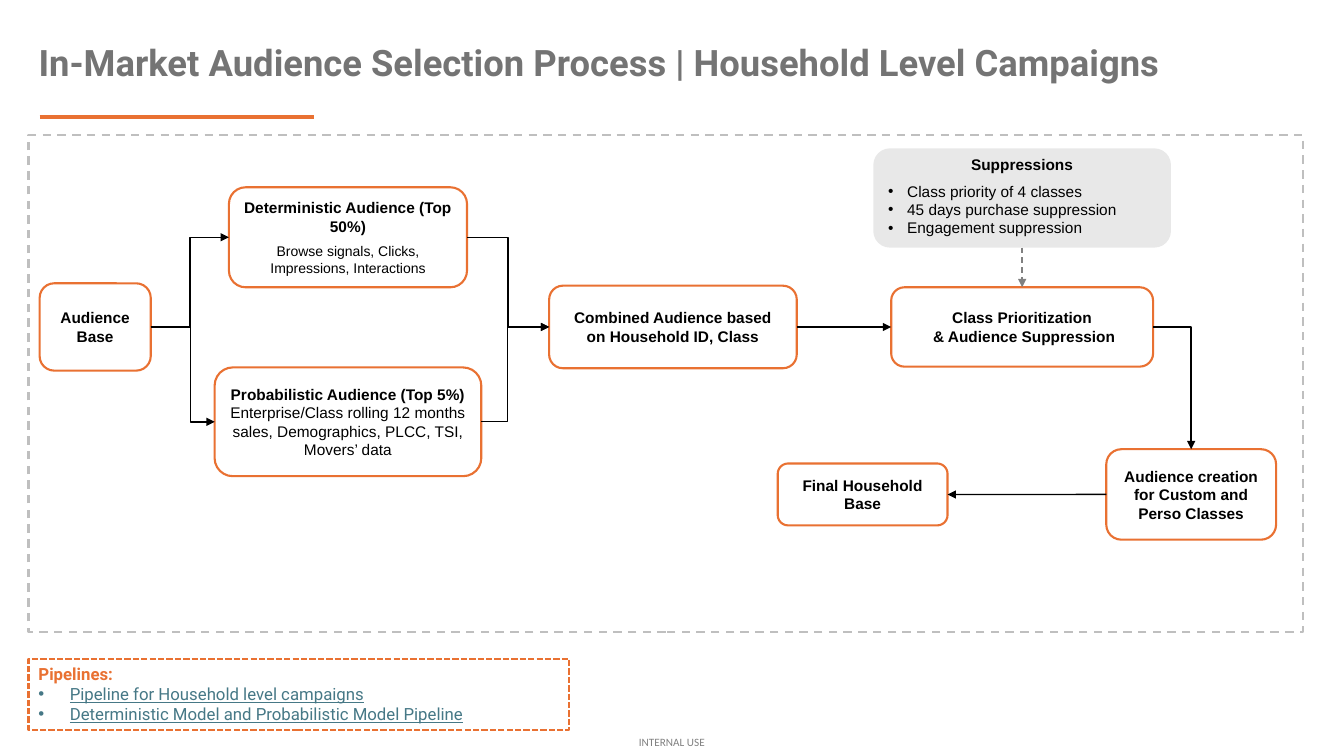
from dataclasses import dataclass

from pptx import Presentation
from pptx.dml.color import RGBColor
from pptx.enum.dml import MSO_LINE
from pptx.enum.shapes import MSO_CONNECTOR, MSO_SHAPE
from pptx.enum.text import MSO_ANCHOR as Anchor, MSO_AUTO_SIZE, PP_ALIGN as Align
from pptx.oxml.ns import qn
from pptx.oxml.xmlchemy import OxmlElement
from pptx.util import Cm, Pt

ORANGE = RGBColor(0xE9, 0x71, 0x32)
TITLE_GRAY = RGBColor(0x74, 0x74, 0x74)
FRAME_GRAY = RGBColor(0xBF, 0xBF, 0xBF)
MID_GRAY = RGBColor(0x80, 0x80, 0x80)
PALE_GRAY = RGBColor(0xE8, 0xE8, 0xE8)
LINK_BLUE = RGBColor(0x46, 0x78, 0x86)
BLACK = RGBColor(0, 0, 0)
WHITE = RGBColor(0xFF, 0xFF, 0xFF)

TOP, LEFT, BOTTOM, RIGHT = range(4)


@dataclass
class Line:
    """One paragraph of text; indent in cm adds a bullet, before is in points."""
    text: str
    size: float = 11
    bold: bool = False
    color: RGBColor = BLACK
    font: str = "Arial"
    underline: bool = False
    indent: float = 0
    before: float = 0
    spacing: float = 1.0


class FlowSlide:
    def __init__(self, presentation):
        self.slide = presentation.slides.add_slide(presentation.slide_layouts[5])
        self.shapes = self.slide.shapes

    def add_lines(self, text_frame, lines, align):
        for index, line in enumerate(lines):
            paragraph = text_frame.paragraphs[0] if index == 0 else text_frame.add_paragraph()
            paragraph.alignment = align if not line.indent else Align.LEFT
            paragraph.line_spacing = line.spacing
            paragraph.space_before = Pt(line.before)
            if line.indent:
                self.add_bullet(paragraph, line.indent)
            run = paragraph.add_run()
            run.text = line.text
            font = run.font
            font.name, font.size = line.font, Pt(line.size)
            font.bold, font.underline = line.bold, line.underline
            font.color.rgb = line.color

    def add_bullet(self, paragraph, indent):
        properties = paragraph._p.get_or_add_pPr()
        properties.set("marL", str(Cm(indent)))
        properties.set("indent", str(-Cm(indent)))
        for tag, name, value in (("a:buFont", "typeface", "Arial"), ("a:buChar", "char", "•")):
            bullet = OxmlElement(tag)
            bullet.set(name, value)
            properties.append(bullet)

    def title(self, line, left, top, width, height):
        shape = self.shapes.title
        shape.left, shape.top, shape.width, shape.height = map(Cm, (left, top, width, height))
        shape.text_frame.auto_size = MSO_AUTO_SIZE.NONE
        shape.text_frame.vertical_anchor = Anchor.MIDDLE
        self.add_lines(shape.text_frame, [line], Align.LEFT)

    def label(self, line, left, top, width, height):
        frame = self.shapes.add_textbox(Cm(left), Cm(top), Cm(width), Cm(height)).text_frame
        frame.margin_left = frame.margin_top = frame.margin_right = frame.margin_bottom = 0
        frame.word_wrap = False
        self.add_lines(frame, [line], Align.LEFT)

    def box(self, place, lines=(), kind=MSO_SHAPE.FLOWCHART_ALTERNATE_PROCESS, fill=WHITE,
            outline=ORANGE, dash=None, anchor=Anchor.MIDDLE, align=Align.CENTER):
        shape = self.shapes.add_shape(kind, *map(Cm, place))
        shape.shadow.inherit = False
        if fill is None:
            shape.fill.background()
        else:
            shape.fill.solid()
            shape.fill.fore_color.rgb = fill
        if outline is None:
            shape.line.fill.background()
        else:
            shape.line.color.rgb = outline
            shape.line.width = Pt(1.5)
            shape.line.dash_style = dash
        shape.text_frame.word_wrap = True
        shape.text_frame.vertical_anchor = anchor
        self.add_lines(shape.text_frame, lines, align)
        return shape

    def rule(self, start, end, color=BLACK, width=1, dash=None, kind=MSO_CONNECTOR.STRAIGHT):
        connector = self.shapes.add_connector(kind, *map(Cm, start + end))
        connector.line.color.rgb = color
        connector.line.width = Pt(width)
        connector.line.dash_style = dash
        connector._element.spPr.append(OxmlElement("a:effectLst"))
        return connector

    def arrow(self, source, source_side, target, target_side, bend=None, corner=False, **style):
        """Join two boxes; bend is the elbow's share of the width, corner makes one turn."""
        elbow = corner or bend is not None
        kind = MSO_CONNECTOR.ELBOW if elbow else MSO_CONNECTOR.STRAIGHT
        connector = self.rule((0, 0), (0, 0), kind=kind, **style)
        connector.begin_connect(source, source_side)
        connector.end_connect(target, target_side)
        geometry = connector._element.spPr.find(qn("a:prstGeom"))
        if corner:
            geometry.set("prst", "bentConnector2")
        elif elbow:
            guide = OxmlElement("a:gd")
            guide.set("name", "adj1")
            guide.set("fmla", f"val {round(bend * 100000)}")
            geometry.find(qn("a:avLst")).append(guide)
        head = OxmlElement("a:tailEnd")
        head.set("type", "triangle")
        connector.line._get_or_add_ln().append(head)


def heading(text, **style):
    return Line(text, bold=True, **style)


def main():
    presentation = Presentation()
    presentation.slide_width, presentation.slide_height = Cm(33.87), Cm(19.05)
    flow = FlowSlide(presentation)

    flow.rule((1, 2.95), (7.92, 2.95), ORANGE, 3)
    flow.label(Line("INTERNAL USE", 8, color=MID_GRAY, font="Calibri"), 16.1, 18.54, 1.7, 0.34)
    flow.title(heading("In-Market Audience Selection Process | Household Level Campaigns", size=26,
                       color=TITLE_GRAY, font="Roboto", spacing=0.9), 0.72, 0.79, 29.2, 1.68)

    link = dict(size=12, color=LINK_BLUE, font="Roboto", underline=True, indent=0.79)
    flow.box((0.72, 16.6, 13.62, 1.8), [
        heading("Pipelines:", size=12, color=ORANGE, font="Roboto"),
        Line("Pipeline for Household level campaigns", **link),
        Line("Deterministic Model and Probabilistic Model Pipeline", **link),
    ], MSO_SHAPE.RECTANGLE, None, dash=MSO_LINE.SQUARE_DOT, anchor=Anchor.TOP, align=Align.LEFT)

    deterministic = flow.box((5.77, 4.72, 6, 2.52), [
        heading("Deterministic Audience (Top 50%)"),
        Line("Browse signals, Clicks, Impressions, Interactions", 10, before=5)])
    base = flow.box((1, 7.14, 2.8, 2.2), [heading("Audience Base")])
    probabilistic = flow.box((5.41, 9.26, 6.72, 2.74), [
        heading("Probabilistic Audience (Top 5%)"),
        Line("Enterprise/Class rolling 12 months sales, Demographics, PLCC, TSI, Movers’ data")])
    combined = flow.box((13.84, 7.2, 6.24, 2.08),
                        [heading("Combined Audience based on Household ID, Class")])
    prioritization = flow.box((22.46, 7.24, 6.6, 2), [
        heading("Class Prioritization"), heading(" & Audience Suppression")])
    creation = flow.box((27.88, 11.32, 4.28, 2.28),
                        [heading("Audience creation for Custom and Perso Classes")])
    suppressions = flow.box((22.01, 3.74, 7.5, 2.5), [
        heading("Suppressions", spacing=0.75),
        Line("Class priority of 4 classes", indent=0.48, before=9.5, spacing=0.75),
        Line("45 days purchase suppression", indent=0.48),
        Line("Engagement suppression", indent=0.48),
    ], fill=PALE_GRAY, outline=None)
    final = flow.box((19.6, 11.68, 4.28, 1.56), [heading("Final Household Base")])

    flow.arrow(base, RIGHT, deterministic, LEFT, bend=0.5)
    flow.arrow(base, RIGHT, probabilistic, LEFT, bend=0.62)
    flow.arrow(deterministic, RIGHT, combined, LEFT, bend=0.5)
    flow.arrow(probabilistic, RIGHT, combined, LEFT, bend=0.39)
    flow.arrow(combined, RIGHT, prioritization, LEFT)
    flow.arrow(prioritization, RIGHT, creation, TOP, corner=True)
    flow.arrow(suppressions, BOTTOM, prioritization, TOP, color=MID_GRAY, dash=MSO_LINE.DASH)
    flow.arrow(creation, LEFT, final, RIGHT)
    flow.box((0.72, 3.4, 32.12, 12.52), kind=MSO_SHAPE.RECTANGLE, fill=None,
             outline=FRAME_GRAY, dash=MSO_LINE.DASH)

    presentation.save("out.pptx")


if __name__ == "__main__":
    main()
